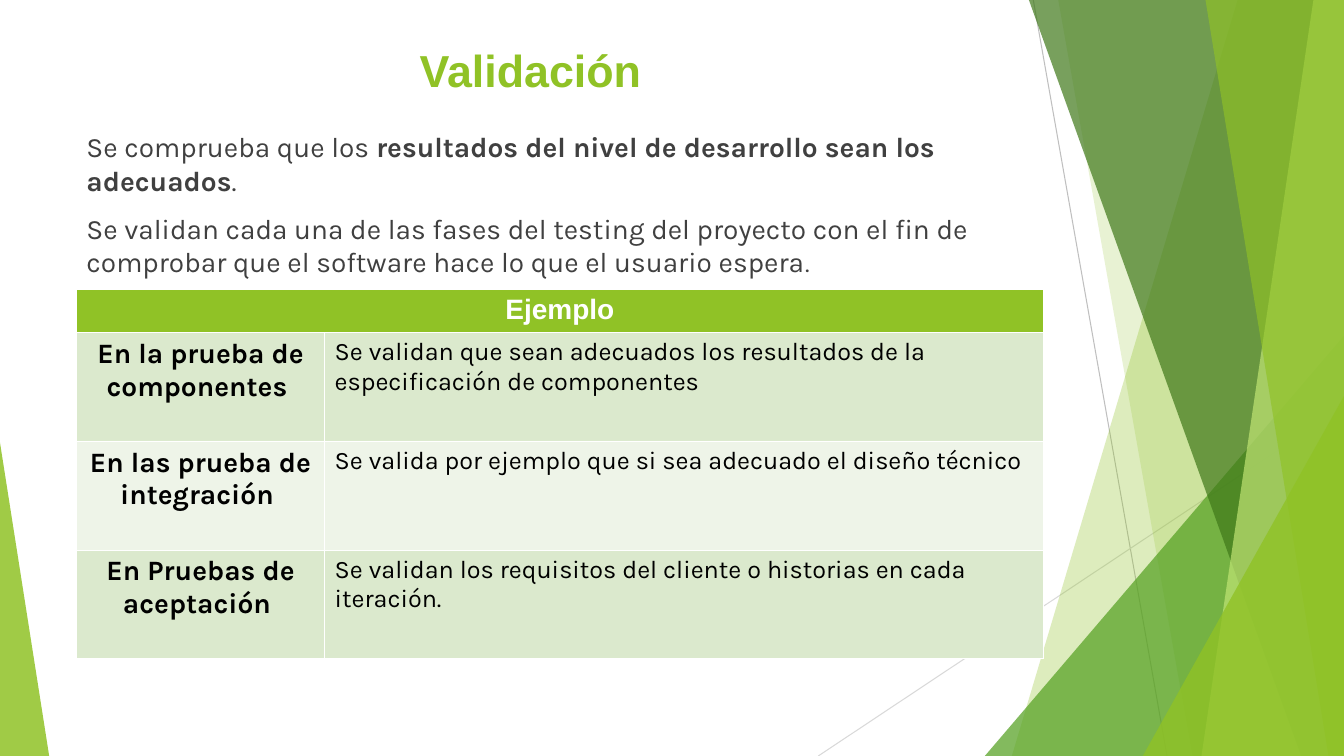
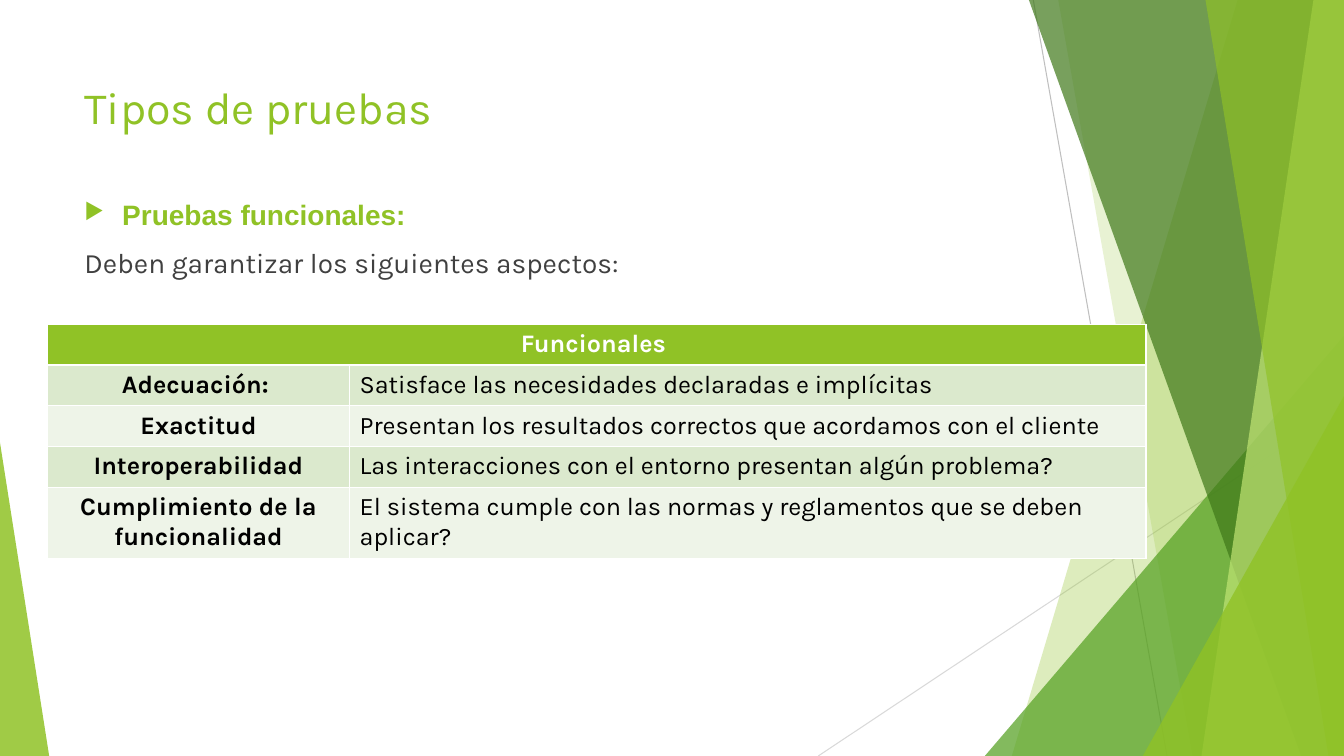
"""Build two slides on software validation and functional testing."""
from dataclasses import dataclass

from lxml import etree
from pptx import Presentation
from pptx import util as u
from pptx.dml import color
from pptx.enum import shapes, text
from pptx.oxml import ns


@dataclass(frozen=True)
class Theme:
    """Colours, fonts, type sizes and page size in centimetres."""
    lime: str = "90C226"
    pale_lime: str = "C0E474"
    leaf: str = "54A021"
    forest: str = "3F7819"
    body: str = "404040"
    black: str = "000000"
    white: str = "FFFFFF"
    dark_line: str = "BFBFBF"
    light_line: str = "D9D9D9"
    bands: tuple = ("DBE9CD", "EEF4E8")
    plain_font: str = "Karla"
    accent_font: str = "Arial"
    title: int = 32
    large: int = 20
    medium: int = 18
    small: int = 16
    width: float = 33.87
    height: float = 19.05


THEME = Theme()


@dataclass(frozen=True)
class Span:
    """A stretch of text in one style."""
    words: str
    size: int = THEME.large
    font: str = THEME.plain_font
    ink: str = THEME.body
    bold: bool = False


def rgb(value):
    """Turn a hex string into a colour."""
    return color.RGBColor.from_string(value)


def write(para, spans, align=text.PP_ALIGN.LEFT):
    """Fill a paragraph with styled spans."""
    para.alignment = align
    for span in spans:
        run = para.add_run()
        run.text = span.words
        run.font.size = u.Pt(span.size)
        run.font.name = span.font
        run.font.bold = span.bold
        run.font.color.rgb = rgb(span.ink)


def paint(shape, fill, opacity):
    """Give a shape a translucent fill without line or shadow."""
    shape.shadow.inherit = False
    shape.line.fill.background()
    shape.fill.solid()
    shape.fill.fore_color.rgb = rgb(fill)
    tint = shape.element.spPr.find(".//" + ns.qn("a:srgbClr"))
    etree.SubElement(tint, ns.qn("a:alpha"), val=str(opacity * 1000))


def add_ray(page, start, end, ink):
    """Draw a thin background line."""
    points = [u.Cm(value) for value in (*start, *end)]
    ray = page.shapes.add_connector(shapes.MSO_CONNECTOR.STRAIGHT, *points)
    ray.line.color.rgb = rgb(ink)
    ray.line.width = u.Pt(0.75)
    etree.SubElement(ray.element.spPr, ns.qn("a:effectLst"))


def add_panel(page, top_x, bottom_x, fill, opacity):
    """Draw a slanted panel that reaches the right edge."""
    outline = page.shapes.build_freeform(u.Cm(top_x), 0)
    right, bottom = u.Cm(THEME.width), u.Cm(THEME.height)
    outline.add_line_segments([(right, 0), (right, bottom), (u.Cm(bottom_x), bottom)])
    paint(outline.convert_to_shape(), fill, opacity)


def add_wedge(page, left, top, right, tip, fill, opacity):
    """Draw a triangle standing on the bottom edge."""
    wedge = page.shapes.add_shape(
        shapes.MSO_SHAPE.ISOSCELES_TRIANGLE, u.Cm(left), u.Cm(top),
        u.Cm(right - left), u.Cm(THEME.height - top))
    wedge.adjustments[0] = tip
    paint(wedge, fill, opacity)


def add_backdrop(page):
    """Draw the green facets that the slides share."""
    add_ray(page, (26.04, 0), (29.41, THEME.height), THEME.dark_line)
    add_ray(page, (THEME.width, 10.24), (20.62, THEME.height), THEME.light_line)
    add_panel(page, 31.19, 25.5, THEME.lime, 30)
    add_panel(page, 26.67, 30.05, THEME.lime, 20)
    add_wedge(page, 24.82, 8.46, THEME.width, 1, THEME.leaf, 72)
    add_panel(page, 25.93, 32.79, THEME.forest, 70)
    add_panel(page, 33.1, 30.28, THEME.pale_lime, 70)
    add_panel(page, 30.38, 33.48, THEME.lime, 65)
    add_wedge(page, 28.8, 9.98, THEME.width, 1, THEME.lime, 80)
    add_wedge(page, 0, 11.15, 1.24, 0, THEME.lime, 85)


def add_page(deck):
    """Add a blank slide with the shared backdrop."""
    page = deck.slides.add_slide(deck.slide_layouts[6])
    add_backdrop(page)
    return page


def add_text(page, place, paragraphs, align=text.PP_ALIGN.LEFT,
             anchor=text.MSO_ANCHOR.TOP):
    """Add a wrapping text box and return its paragraphs."""
    box = page.shapes.add_textbox(*[u.Cm(value) for value in place])
    frame = box.text_frame
    frame.word_wrap = True
    frame.vertical_anchor = anchor
    for index, spans in enumerate(paragraphs):
        para = frame.add_paragraph() if index else frame.paragraphs[0]
        para.space_before = u.Pt(10)
        write(para, spans, align)
    return frame.paragraphs


def add_title(page, place, spans, align=text.PP_ALIGN.LEFT):
    """Add a slide title centred on its height."""
    add_text(page, place, [spans], align, text.MSO_ANCHOR.MIDDLE)


def add_bullet(para):
    """Give a paragraph a hanging arrow bullet."""
    props = para._p.get_or_add_pPr()
    indent = u.Cm(0.95)
    props.set("marL", str(indent))
    props.set("indent", str(-indent))
    tint = etree.SubElement(props, ns.qn("a:buClr"))
    etree.SubElement(tint, ns.qn("a:srgbClr"), val=THEME.lime)
    etree.SubElement(props, ns.qn("a:buSzPct"), val="80000")
    etree.SubElement(props, ns.qn("a:buChar"), char="▶")


def fill_cell(cell, fill, span, align=text.PP_ALIGN.LEFT):
    """Set the fill and text of a table cell."""
    cell.fill.solid()
    cell.fill.fore_color.rgb = rgb(fill)
    write(cell.text_frame.paragraphs[0], [span], align)


def add_grid(page, corner, widths, heights, heading, rows, label_size):
    """Add a banded table under one merged heading."""
    left, top = corner
    grid = page.shapes.add_table(
        len(heights), len(widths), u.Cm(left), u.Cm(top),
        u.Cm(sum(widths)), u.Cm(sum(heights))).table
    for column, width in zip(grid.columns, widths):
        column.width = u.Cm(width)
    for row, height in zip(grid.rows, heights):
        row.height = u.Cm(height)
    grid.cell(0, 0).merge(grid.cell(0, 1))
    centre = text.PP_ALIGN.CENTER
    fill_cell(grid.cell(0, 0), THEME.lime, heading, centre)
    for index, (label, detail) in enumerate(rows):
        band = THEME.bands[index % 2]
        fill_cell(grid.cell(index + 1, 0), band,
                  Span(label, label_size, ink=THEME.black, bold=True), centre)
        fill_cell(grid.cell(index + 1, 1), band,
                  Span(detail, THEME.medium, ink=THEME.black))


def add_validation(deck):
    """Build the slide on validation."""
    page = add_page(deck)
    add_title(page, (0, 0.86, 26.9, 1.78), [
        Span("Validación", THEME.title, THEME.accent_font, THEME.lime, True),
        Span(" ", THEME.small, THEME.accent_font, THEME.lime, True),
    ], text.PP_ALIGN.CENTER)
    add_text(page, (1.93, 3.15, 23.88, 12.75), [
        [Span("Se comprueba que los "),
         Span("resultados del nivel de desarrollo sean los adecuados", bold=True),
         Span(".")],
        [Span("Se validan cada una de las fases del testing del proyecto con el "
              "fin de comprobar que el software hace lo que el usuario espera"),
         Span(".", THEME.medium)],
    ])
    rows = [
        ("En la prueba de componentes ",
         "Se validan que sean adecuados los resultados de la especificación de componentes"),
        ("En las prueba de integración ",
         "Se valida por ejemplo que si sea adecuado el diseño técnico"),
        ("En Pruebas de aceptación ",
         "Se validan los requisitos del cliente o historias en cada iteración."),
    ]
    heading = Span("Ejemplo", THEME.large, THEME.accent_font, THEME.white, True)
    add_grid(page, (1.93, 7.28), (6.25, 18.11), [1.07] + [2.74] * 3,
             heading, rows, THEME.large)


def add_test_types(deck):
    """Build the slide on functional tests."""
    page = add_page(deck)
    add_title(page, (1.88, 1.7, 23.88, 1.96),
              [Span("Tipos de pruebas", THEME.title, ink=THEME.lime)])
    lead, _ = add_text(page, (1.88, 4.85, 23.88, 11.91), [
        [Span("Pruebas funcionales:", THEME.large, THEME.accent_font, THEME.lime, True)],
        [Span("Deben garantizar los siguientes aspectos:")],
    ])
    add_bullet(lead)
    rows = [
        ("Adecuación: ", "Satisface las necesidades declaradas e implícitas"),
        ("Exactitud", "Presentan los resultados correctos que acordamos con el cliente"),
        ("Interoperabilidad", "Las interacciones con el entorno presentan algún problema?"),
        ("Cumplimiento de la funcionalidad",
         "El sistema cumple con las normas y reglamentos que se deben aplicar?"),
    ]
    heading = Span("Funcionales ", THEME.medium, ink=THEME.white, bold=True)
    add_grid(page, (1.19, 8.18), (7.62, 20.07), [1.01] + [1.03] * 3 + [1.74],
             heading, rows, THEME.medium)


def main():
    """Build and save the deck."""
    deck = Presentation()
    deck.slide_width = u.Cm(THEME.width)
    deck.slide_height = u.Cm(THEME.height)
    add_validation(deck)
    add_test_types(deck)
    deck.save("out.pptx")


if __name__ == "__main__":
    main()
